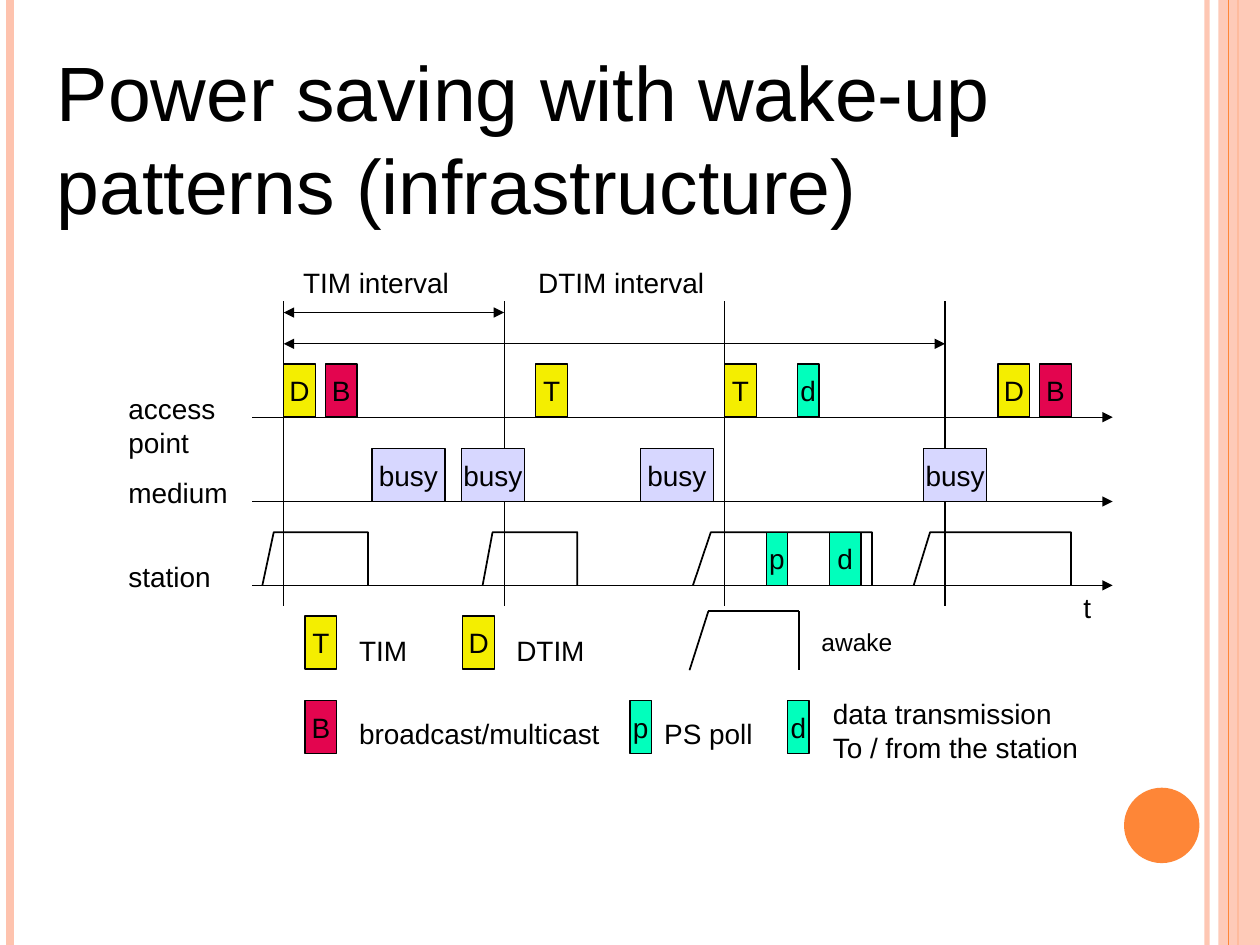
from dataclasses import dataclass
from itertools import pairwise

from lxml.etree import SubElement
from pptx import Presentation
from pptx.dml.color import RGBColor as Color
from pptx.enum.shapes import MSO_CONNECTOR as Link, MSO_SHAPE as Preset
from pptx.enum.text import MSO_ANCHOR as Anchor, MSO_AUTO_SIZE as Fit, PP_ALIGN as Align
from pptx.oxml.ns import qn
from pptx.util import Cm, Pt


@dataclass(frozen=True)
class Theme:
    font: str = "Arial"
    ink: str = "000000"
    accent: str = "FE8637"
    blush: str = "FEC3AE"
    beacon: str = "F4EE00"
    broadcast: str = "E3054F"
    data: str = "01FFBC"
    busy: str = "D7D7FF"
    title: int = 44
    body: int = 16
    small: int = 14
    thin: float = 0.75
    pulse: float = 1


@dataclass(frozen=True)
class Box:
    left: float
    top: float
    width: float
    height: float

    def at(self, x, y):
        return Cm(self.left + x), Cm(self.top + y)


THEME = Theme()
TILE_HEIGHT, WIDE, NARROW = 1.07, 0.64, 0.43
LINE_HEIGHT = 0.94
TILE_FILLS = {"D": THEME.beacon, "T": THEME.beacon, "B": THEME.broadcast,
              "p": THEME.data, "d": THEME.data, "busy": THEME.busy}


def set_alpha(fill, percent):
    SubElement(fill.find(".//" + qn("a:srgbClr")), qn("a:alpha"), val=str(percent * 1000))


def write(frame, lines, size, align=Align.LEFT):
    for index, line in enumerate(lines):
        para = frame.paragraphs[0] if index == 0 else frame.add_paragraph()
        para.alignment = align
        span = para.add_run()
        span.text = line
        span.font.name = THEME.font
        span.font.size = Pt(size)
        span.font.color.rgb = Color.from_string(THEME.ink)


def add_line(page, box, start, end, color=THEME.ink, weight=THEME.thin, arrows=(), alpha=100):
    line = page.shapes.add_connector(Link.STRAIGHT, *box.at(*start), *box.at(*end))
    line.line.color.rgb = Color.from_string(color)
    line.line.width = Pt(weight)
    outline = line.line._get_or_add_ln()
    if alpha < 100:
        set_alpha(outline, alpha)
    for arrow in arrows:
        SubElement(outline, qn(f"a:{arrow}"), type="triangle")
    SubElement(line._element.spPr, qn("a:effectLst"))


def add_block(page, box, preset, x, y, width, height, color):
    block = page.shapes.add_shape(preset, *box.at(x, y), Cm(width), Cm(height))
    block.shadow.inherit = False
    block.fill.solid()
    block.fill.fore_color.rgb = Color.from_string(color)
    block.line.fill.background()
    return block


def add_tile(page, box, text, x, y, width):
    tile = add_block(page, box, Preset.RECTANGLE, x, y, width, TILE_HEIGHT, TILE_FILLS[text])
    tile.line.color.rgb = Color.from_string(THEME.ink)
    tile.line.width = Pt(THEME.thin)
    tile.text_frame.word_wrap = False
    tile.text_frame.vertical_anchor = Anchor.MIDDLE
    write(tile.text_frame, [text], THEME.body, Align.CENTER)


def add_label(page, box, lines, x, y, width, size=THEME.body):
    height = LINE_HEIGHT + 0.69 * (len(lines) - 1)
    label = page.shapes.add_textbox(*box.at(x, y), Cm(width), Cm(height))
    label.text_frame.word_wrap = False
    write(label.text_frame, lines, size)


def add_pulse(page, box, start, rise, end, base):
    top = base - TILE_HEIGHT
    outline = page.shapes.build_freeform(*box.at(start, base))
    outline.add_line_segments([box.at(rise, top), box.at(end, top), box.at(end, base)], close=False)
    pulse = outline.convert_to_shape()
    pulse.shadow.inherit = False
    pulse.fill.background()
    pulse.line.color.rgb = Color.from_string(THEME.ink)
    pulse.line.width = Pt(THEME.pulse)


def draw_borders(page, box):
    for x, color, weight, alpha in [(24.33, THEME.blush, 3, 93), (0.21, THEME.blush, 4.5, 100),
                                    (24.96, THEME.accent, 1.5, 100)]:
        add_line(page, box, (x, 0), (x, box.height), color, weight, alpha=alpha)
    band = add_block(page, box, Preset.RECTANGLE, 24.56, 0, 0.84, box.height, THEME.blush)
    set_alpha(band._element.spPr, 87)
    add_line(page, box, (24.77, 0), (24.77, box.height), THEME.accent)
    add_block(page, box, Preset.OVAL, 22.66, 15.88, 1.52, 1.52, THEME.accent)


def draw_title(page, box, text):
    title = page.shapes.title
    title.left, title.top = box.at(0, 0)
    title.width, title.height = Cm(box.width), Cm(box.height)
    title.text_frame.word_wrap = True
    title.text_frame.auto_size = Fit.NONE
    title.text_frame.vertical_anchor = Anchor.MIDDLE
    write(title.text_frame, [text], THEME.title)


def draw_timeline(page, box):
    access, medium, station = 3.18, 4.88, 6.57
    first, last = 3.38, 16.71
    beacons = [first + (last - first) * step / 3 for step in range(4)]

    for axis in (access, medium, station):
        add_line(page, box, (2.74, axis), (box.width, axis), arrows=["tailEnd"])
    for beacon in beacons:
        add_line(page, box, (beacon, 0.84), (beacon, 6.98))
    for y, end in [(1.07, beacons[1]), (1.7, last)]:
        add_line(page, box, (first, y), (end, y), arrows=["headEnd", "tailEnd"])
    for start, rise, end in [(2.95, 3.18, 5.08), (7.39, 7.59, 9.3),
                             (11.63, 11.99, 15.24), (16.08, 16.41, 19.25)]:
        add_pulse(page, box, start, rise, end, station)

    tiles = {
        access: [("D", first, WIDE), ("B", 4.22, WIDE), ("T", 8.46, WIDE), ("T", beacons[2], WIDE),
                 ("d", 13.74, NARROW), ("D", 17.78, WIDE), ("B", 18.62, WIDE)],
        medium: [("busy", 5.16, 1.47), ("busy", 6.96, 1.27),
                 ("busy", 10.57, 1.47), ("busy", 16.28, 1.27)],
        station: [("p", 13.11, NARROW), ("d", 14.38, WIDE)],
    }
    for axis, row in tiles.items():
        for text, x, width in row:
            add_tile(page, box, text, x, axis - TILE_HEIGHT, width)

    for lines, x, y, width in [(["TIM interval"], 3.52, 0, 3.45), (["DTIM interval"], 8.26, 0, 3.86),
                               (["access", "point"], 0, 2.54, 2.26), (["medium"], 0, 4.24, 2.51),
                               (["station"], 0, 5.92, 2.16), (["t"], 19.25, 6.55, 0.66)]:
        add_label(page, box, lines, x, y, width)


def draw_legend(page, box):
    upper, lower = 0.1, 1.8
    for text, x, y, width in [("T", 0, upper, WIDE), ("D", 3.18, upper, WIDE), ("B", 0, lower, WIDE),
                              ("p", 6.55, lower, NARROW), ("d", 9.73, lower, NARROW)]:
        add_tile(page, box, text, x, y, width)
    for lines, x, y, width in [(["TIM"], 0.84, 0.33, 1.47), (["DTIM"], 4.01, 0.33, 1.88),
                               (["broadcast/multicast"], 0.84, 2.01, 5.36),
                               (["PS poll"], 6.99, 2.01, 2.29),
                               (["data transmission", "To / from the station"], 10.39, 1.6, 5.51)]:
        add_label(page, box, lines, x, y, width)
    for start, end in pairwise([(7.75, 1.19), (8.13, 0), (9.96, 0), (9.96, 1.19)]):
        add_line(page, box, start, end, weight=THEME.pulse)
    add_label(page, box, ["awake"], 10.16, 0.2, 2.01, THEME.small)


def main():
    deck = Presentation()
    deck.slide_width, deck.slide_height = Cm(25.4), Cm(19.05)
    page = deck.slides.add_slide(deck.slide_layouts[5])
    draw_borders(page, Box(0, 0, 25.4, 19.05))
    draw_title(page, Box(0.89, 1.42, 24, 2.69), "Power saving with wake-up patterns (infrastructure)")
    draw_timeline(page, Box(2.34, 5.23, 20.09, 7))
    draw_legend(page, Box(6.15, 12.32, 15.9, 3.23))
    deck.save("out.pptx")


if __name__ == "__main__":
    main()
